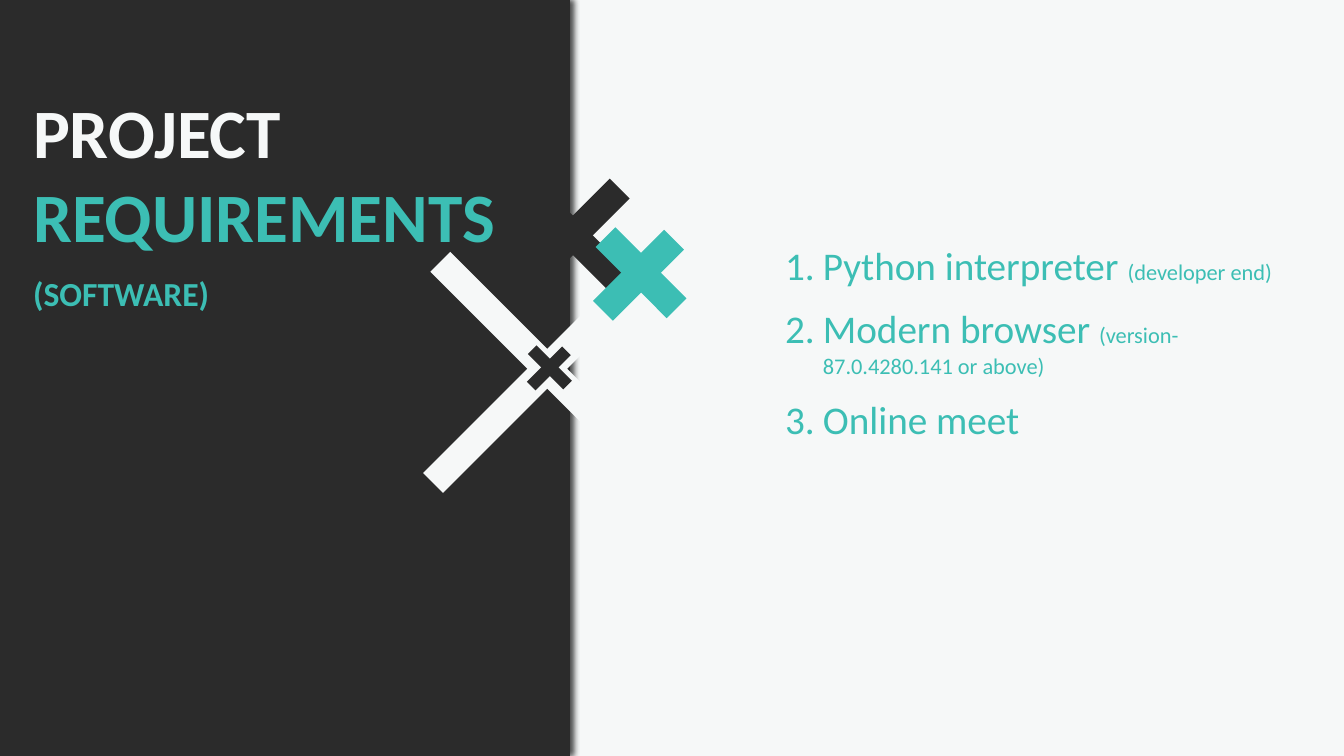
from lxml import etree
from pptx import Presentation
from pptx.dml.color import RGBColor
from pptx.enum.shapes import MSO_CONNECTOR, MSO_SHAPE
from pptx.enum.text import MSO_AUTO_SIZE
from pptx.oxml.ns import qn
from pptx.util import Pt

STRAIGHT = MSO_CONNECTOR.STRAIGHT
RECTANGLE = MSO_SHAPE.RECTANGLE
GROW = MSO_AUTO_SIZE.SHAPE_TO_FIT_TEXT

LIGHT, DARK, TEAL = "F6F8F8", "2B2B2B", "3CBEB4"
FONT = "Calibri"

# centre x, centre y, half reach, offset between strokes, colour, stroke width
CROSSES = [
    (388.3, 266, 76.4, 2.6, LIGHT, 20),
    (392.4, 262.8, 12.6, 0.4, DARK, 8.75),
    (408.2, 169.2, 35.6, 1.1, DARK, 20),
    (457, 195.7, 25.4, 0.9, TEAL, 20),
]
REQUIREMENTS = [
    ("Python interpreter ", "(developer end)"),
    ("Modern browser ", "(version- 87.0.4280.141 or above)"),
    ("Online meet", ""),
]


def rgb(hex_colour):
    return RGBColor.from_string(hex_colour)


def add_run(paragraph, text, size, colour, bold=False):
    run = paragraph.add_run()
    run.text = text
    run.font.name = FONT
    run.font.size = Pt(size)
    run.font.bold = bold
    run.font.color.rgb = rgb(colour)


def add_text_frame(slide, left, top, width, height):
    box = slide.shapes.add_textbox(Pt(left), Pt(top), Pt(width), Pt(height))
    frame = box.text_frame
    frame.word_wrap = True
    frame.auto_size = GROW
    return frame


def add_panel(slide, left, top, width, height):
    """Dark side panel with a soft shadow along its right edge."""
    panel = slide.shapes.add_shape(RECTANGLE, Pt(left), Pt(top), Pt(width), Pt(height))
    panel.fill.solid()
    panel.fill.fore_color.rgb = rgb(DARK)
    panel.line.fill.background()
    panel.shadow.inherit = False
    effects = panel._element.spPr.find(qn("a:effectLst"))
    shadow = etree.SubElement(effects, qn("a:outerShdw"), blurRad=str(Pt(4)),
                              dist=str(Pt(3)), dir="0", algn="l", rotWithShape="0")
    black = etree.SubElement(shadow, qn("a:srgbClr"), val="000000")
    etree.SubElement(black, qn("a:alpha"), val="69000")


def add_title(slide, left, top, width, height):
    frame = add_text_frame(slide, left, top, width, height)
    heading = frame.paragraphs[0]
    add_run(heading, "PROJECT ", 49.5, LIGHT, bold=True)
    add_run(heading, "REQUIREMENTS", 49.5, TEAL, bold=True)
    subheading = frame.add_paragraph()
    add_run(subheading, "(SOFTWARE)", 24, TEAL, bold=True)
    for paragraph in frame.paragraphs:
        paragraph.space_after = Pt(12)


def add_cross(slide, x, y, reach, offset, colour, width):
    """Two diagonal strokes, the rising one first."""
    for slope in (-1, 1):
        stroke_x, stroke_y = x + slope * offset, y - slope * offset
        stroke = slide.shapes.add_connector(
            STRAIGHT,
            Pt(stroke_x + reach), Pt(stroke_y + slope * reach),
            Pt(stroke_x - reach), Pt(stroke_y - slope * reach))
        stroke.line.color.rgb = rgb(colour)
        stroke.line.width = Pt(width)
        etree.SubElement(stroke._element.spPr, qn("a:effectLst"))


def add_requirements(slide, left, top, width, height):
    frame = add_text_frame(slide, left, top, width, height)
    indent = Pt(27)
    for index, (name, detail) in enumerate(REQUIREMENTS):
        item = frame.add_paragraph() if index else frame.paragraphs[0]
        properties = item._p.get_or_add_pPr()
        properties.set("marL", str(indent))
        properties.set("indent", str(-indent))
        etree.SubElement(properties, qn("a:buFont"), typeface="+mj-lt")
        etree.SubElement(properties, qn("a:buAutoNum"), type="arabicPeriod")
        if index:
            item.space_before = Pt(12)
        add_run(item, name, 28, TEAL)
        if detail:
            add_run(item, detail, 16, TEAL)


def main():
    presentation = Presentation()
    presentation.slide_width, presentation.slide_height = Pt(960), Pt(540)
    slide = presentation.slides.add_slide(presentation.slide_layouts[6])
    slide.background.fill.solid()
    slide.background.fill.fore_color.rgb = rgb(LIGHT)

    add_panel(slide, -2, 0, 409, 540)
    add_title(slide, 16.6, 60.5, 355.7, 168.5)
    for cross in CROSSES:
        add_cross(slide, *cross)
    add_requirements(slide, 553.7, 168.5, 368.6, 152.6)
    presentation.save("out.pptx")


if __name__ == "__main__":
    main()
